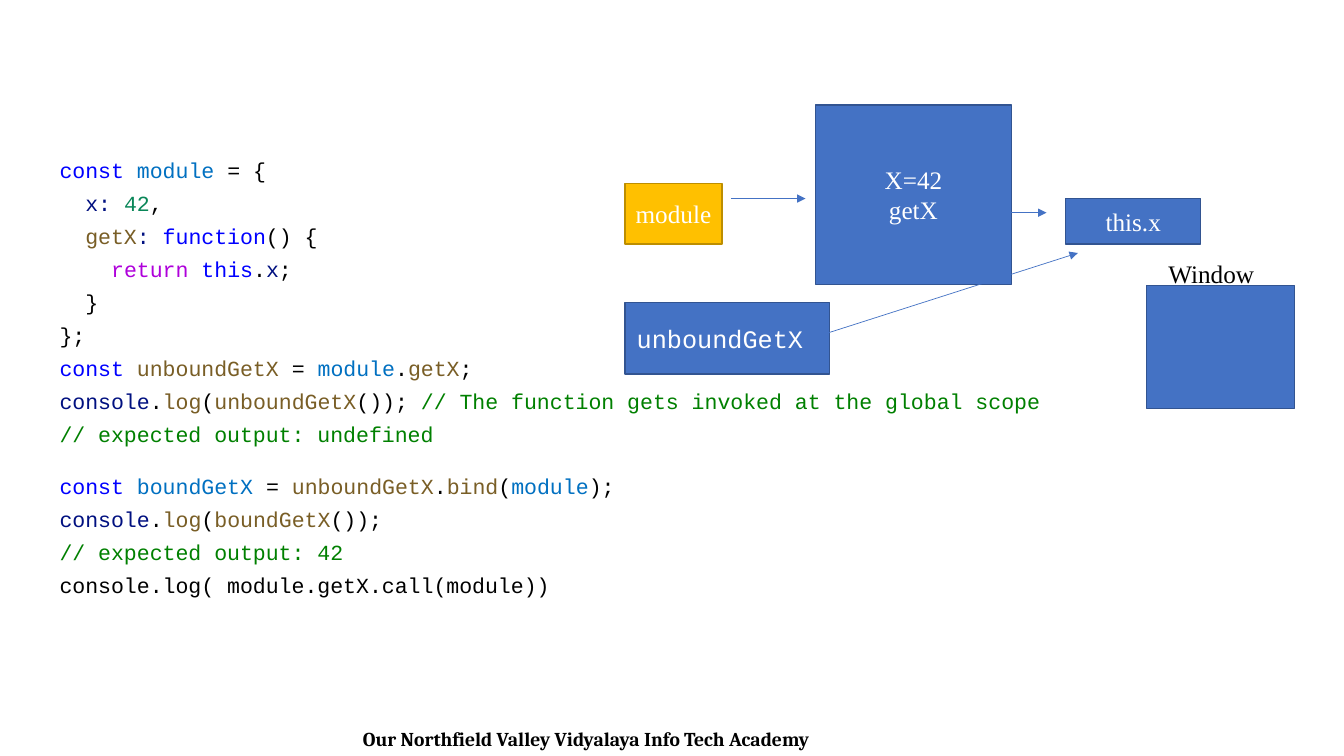
from dataclasses import dataclass

from lxml import etree
from pptx import Presentation
from pptx.dml.color import RGBColor
from pptx.enum.shapes import MSO_CONNECTOR, MSO_SHAPE
from pptx.enum.text import MSO_ANCHOR, MSO_AUTO_SIZE, PP_ALIGN
from pptx.oxml.ns import qn
from pptx.util import Inches, Pt

RECTANGLE = MSO_SHAPE.RECTANGLE
STRAIGHT = MSO_CONNECTOR.STRAIGHT
MIDDLE, TOP = MSO_ANCHOR.MIDDLE, MSO_ANCHOR.TOP
NO_AUTOFIT = MSO_AUTO_SIZE.NONE
LEFT, CENTER = PP_ALIGN.LEFT, PP_ALIGN.CENTER

SERIF, MONO, FOOTER_FONT = "Times New Roman", "Courier New", "Cambria"
BLACK, WHITE = "000000", "FFFFFF"
BLUE, BLUE_EDGE = "4472C4", "325491"
AMBER, AMBER_EDGE = "FFC000", "BD8E00"

# Syntax colours
KEYWORD, CONSTANT, FUNCTION, PROPERTY = "0000FF", "0070C1", "795E26", "001080"
NUMBER, CONTROL, COMMENT = "098658", "AF00DB", "008000"

Token = tuple[str, str]


@dataclass
class Box:
    left: float
    top: float
    width: float
    height: float
    lines: tuple[str, ...] = ()
    fill: str = BLUE
    edge: str = BLUE_EDGE
    font: str = SERIF


@dataclass
class Arrow:
    start: tuple[float, float]
    end: tuple[float, float]


CODE: list[list[Token]] = [
    [("const ", KEYWORD), ("module", CONSTANT), (" = {", BLACK)],
    [("  ", BLACK), ("x: ", PROPERTY), ("42", NUMBER), (",", BLACK)],
    [("  ", BLACK), ("getX", FUNCTION), (": ", PROPERTY), ("function", KEYWORD),
     ("() {", BLACK)],
    [("    ", BLACK), ("return ", CONTROL), ("this", KEYWORD), (".", BLACK),
     ("x", PROPERTY), (";", BLACK)],
    [("  }", BLACK)],
    [("};", BLACK)],
    [("const ", KEYWORD), ("unboundGetX", FUNCTION), (" = ", BLACK),
     ("module", CONSTANT), (".", BLACK), ("getX", FUNCTION), (";", BLACK)],
    [("console", PROPERTY), (".", BLACK), ("log", FUNCTION), ("(", BLACK),
     ("unboundGetX", FUNCTION), ("()); ", BLACK),
     ("// The function gets invoked at the global scope", COMMENT)],
    [("// expected output: undefined", COMMENT)],
    [("const ", KEYWORD), ("boundGetX", CONSTANT), (" = ", BLACK),
     ("unboundGetX", FUNCTION), (".", BLACK), ("bind", FUNCTION), ("(", BLACK),
     ("module", CONSTANT), (");", BLACK)],
    [("console", PROPERTY), (".", BLACK), ("log", FUNCTION), ("(", BLACK),
     ("boundGetX", FUNCTION), ("());", BLACK)],
    [("// expected output: 42", COMMENT)],
    [("console.log( module.getX.call(module))", BLACK)],
]
SECOND_PART = 9  # first line of the code after the gap

BOXES = [
    Box(6.2, 1.82, 0.96, 0.6, ("module",), AMBER, AMBER_EDGE),
    Box(8.09, 1.04, 1.94, 1.78, ("X=42", "getX")),
    Box(10.57, 1.97, 1.34, 0.45, ("this.x",)),
    Box(6.2, 3, 2.03, 0.71, ("unboundGetX\u00a0",), font=MONO),
    Box(11.37, 2.83, 1.47, 1.22),
]
ARROWS = [
    Arrow((9.42, 2.11), (10.38, 2.11)),
    Arrow((7.25, 1.97), (7.99, 1.97)),
    Arrow((7.94, 3.39), (10.69, 2.51)),
]


def rgb(value: str) -> RGBColor:
    return RGBColor.from_string(value)


def add_run(paragraph, text: str, *, font: str = SERIF, size: float = 18,
            color: str = BLACK, bold: bool = False) -> None:
    run = paragraph.add_run()
    run.text = text
    run.font.name = font
    run.font.size = Pt(size)
    run.font.bold = bold
    run.font.color.rgb = rgb(color)


def write_lines(frame, lines: tuple[str, ...], *, align=CENTER, **style) -> None:
    frame.word_wrap = True
    for index, text in enumerate(lines):
        paragraph = frame.paragraphs[0] if index == 0 else frame.add_paragraph()
        paragraph.alignment = align
        add_run(paragraph, text, **style)


def add_label(slide, left: float, top: float, width: float, height: float,
              text: str, **style) -> None:
    label = slide.shapes.add_textbox(*map(Inches, (left, top, width, height)))
    write_lines(label.text_frame, (text,), **style)


def add_code(body) -> None:
    body.left, body.top = Inches(0.49), Inches(1.58)
    body.width, body.height = Inches(11.92), Inches(5.18)
    frame = body.text_frame
    frame.word_wrap = True
    frame.auto_size = NO_AUTOFIT
    frame.vertical_anchor = TOP
    for index, tokens in enumerate(CODE):
        paragraph = frame.paragraphs[0] if index == 0 else frame.add_paragraph()
        properties = paragraph._p.get_or_add_pPr()
        properties.set("marL", "0")
        properties.set("indent", "0")
        etree.SubElement(properties, qn("a:buNone"))
        paragraph.alignment = LEFT
        paragraph.line_spacing = 0.7
        gap = 24.2 if index == SECOND_PART else 10.6
        paragraph.space_before = Pt(gap if index else 0)
        for text, color in tokens:
            add_run(paragraph, text, font=MONO, size=15.4, color=color)


def add_box(slide, box: Box) -> None:
    shape = slide.shapes.add_shape(
        RECTANGLE, *map(Inches, (box.left, box.top, box.width, box.height)))
    shape.shadow.inherit = False
    shape.fill.solid()
    shape.fill.fore_color.rgb = rgb(box.fill)
    shape.line.color.rgb = rgb(box.edge)
    shape.line.width = Pt(1)
    shape.text_frame.vertical_anchor = MIDDLE
    write_lines(shape.text_frame, box.lines, font=box.font, color=WHITE)


def add_arrow(slide, arrow: Arrow) -> None:
    connector = slide.shapes.add_connector(
        STRAIGHT, *map(Inches, arrow.start + arrow.end))
    connector.line.color.rgb = rgb(BLUE)
    connector.line.width = Pt(0.5)
    line = connector.line._get_or_add_ln()
    etree.SubElement(line, qn("a:tailEnd"), type="triangle")
    etree.SubElement(connector._element.spPr, qn("a:effectLst"))


def main() -> None:
    presentation = Presentation()
    presentation.slide_width = Inches(13.33)
    presentation.slide_height = Inches(7.5)
    slide = presentation.slides.add_slide(presentation.slide_layouts[1])
    title = slide.shapes.title._element
    title.getparent().remove(title)

    # Footer and code
    add_label(slide, 1.28, 7.16, 9.07, 0.34,
              "Our Northfield Valley Vidyalaya Info Tech Academy",
              font=FOOTER_FONT, size=14, bold=True)
    add_code(slide.placeholders[1])

    # Binding diagram
    for box in BOXES:
        add_box(slide, box)
    for arrow in ARROWS:
        add_arrow(slide, arrow)
    add_label(slide, 11.49, 2.51, 1.43, 0.4, "Window", align=LEFT)

    presentation.save("out.pptx")


if __name__ == "__main__":
    main()
